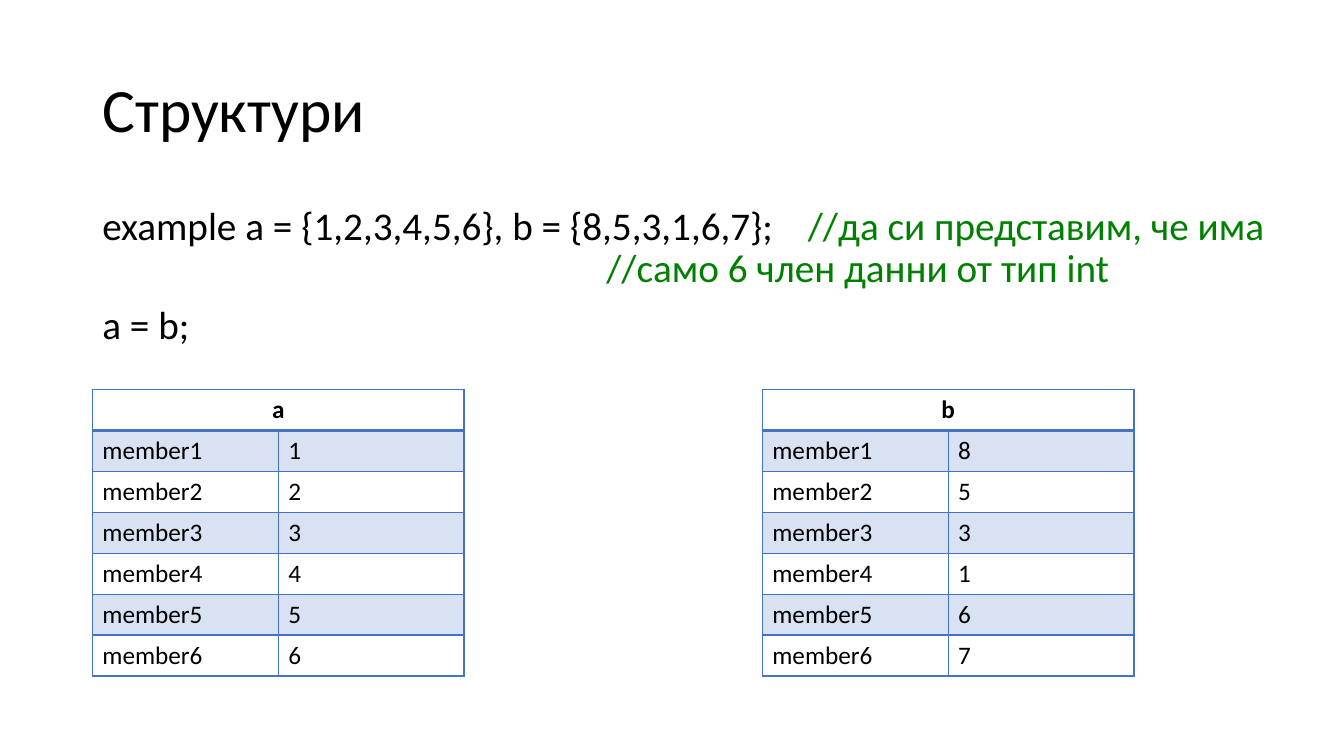
"""Builds the slide on assigning one structure to another."""
from lxml import etree
from pptx import Presentation, util as u
from pptx.dml.color import RGBColor
from pptx.enum import text
from pptx.oxml.ns import qn

COLORS = {"text": "000000", "comment": "008000", "accent": "4472C4"}
FONT = "Calibri"
MEMBERS_A = [1, 2, 3, 4, 5, 6]
MEMBERS_B = [8, 5, 3, 1, 6, 7]


def px(n):
    return u.Emu(n * 9525)


def add_run(p, words, size, color="text", bold=False):
    r = p.add_run()
    r.text = words
    r.font.name = FONT
    r.font.size = u.Pt(size)
    r.font.bold = bold
    r.font.color.rgb = RGBColor.from_string(COLORS[color])


def set_tabs(p, stops):
    tabs = etree.SubElement(p._p.get_or_add_pPr(), qn("a:tabLst"))
    for stop in stops:
        etree.SubElement(tabs, qn("a:tab"), pos=str(px(stop)), algn="l")


def add_title(s, words):
    sp = s.shapes.title
    sp.left, sp.top, sp.width, sp.height = px(88), px(38), px(1104), px(139)
    tf = sp.text_frame
    tf.vertical_anchor = text.MSO_ANCHOR.MIDDLE
    p = tf.paragraphs[0]
    p.alignment = text.PP_ALIGN.LEFT
    p.line_spacing = 0.9
    add_run(p, words, 44)


def add_code(s):
    sp = s.shapes.add_textbox(px(88), px(192), px(1175), px(457))
    tf = sp.text_frame
    tf.word_wrap = True
    p = tf.paragraphs[0]
    p.line_spacing = 0.9
    set_tabs(p, [480, 672])
    add_run(p, "example a = {1,2,3,4,5,6}, b = {8,5,3,1,6,7};\t", 28)
    add_run(p, "//да си представим, че има", 28, "comment")
    p.add_line_break()
    add_run(p, "\t//само 6 член данни от тип int", 28, "comment")
    p = tf.add_paragraph()
    p.line_spacing = 0.9
    p.space_before = u.Pt(10)
    add_run(p, "a = b;", 28)


def add_border(cell, side, width):
    ln = etree.SubElement(cell._tc.get_or_add_tcPr(), qn(f"a:ln{side}"), w=str(u.Pt(width)))
    fill = etree.SubElement(ln, qn("a:solidFill"))
    etree.SubElement(fill, qn("a:srgbClr"), val=COLORS["accent"])


def format_cell(cell, row):
    widths = {"L": 1, "R": 1, "T": 2 if row == 1 else 1, "B": 2 if row == 0 else 1}
    for side, width in widths.items():
        add_border(cell, side, width)
    if row % 2:
        cell.fill.solid()
        cell.fill.fore_color.rgb = RGBColor.from_string(COLORS["accent"])
        color = cell._tc.tcPr.find(qn("a:solidFill")).find(qn("a:srgbClr"))
        etree.SubElement(color, qn("a:alpha"), val="20000")
    else:
        cell.fill.background()


def add_members(s, left, name, values):
    rows = len(values) + 1
    table = s.shapes.add_table(rows, 2, px(left), px(371), px(354), px(39 * rows)).table
    table.first_row = table.horz_banding = False
    for row in range(rows):
        table.rows[row].height = px(39)
        for col in range(2):
            format_cell(table.cell(row, col), row)
    header = table.cell(0, 0)
    header.merge(table.cell(0, 1))
    p = header.text_frame.paragraphs[0]
    p.alignment = text.PP_ALIGN.CENTER
    add_run(p, name, 18, bold=True)
    for row, value in enumerate(values, 1):
        for col, words in enumerate([f"member{row}", str(value)]):
            add_run(table.cell(row, col).text_frame.paragraphs[0], words, 18)


def main():
    prs = Presentation()
    prs.slide_width, prs.slide_height = px(1280), px(720)
    s = prs.slides.add_slide(prs.slide_layouts[5])
    add_title(s, "Структури")
    add_code(s)
    add_members(s, 88, "а", MEMBERS_A)
    add_members(s, 726, "b", MEMBERS_B)
    prs.save("out.pptx")


if __name__ == "__main__":
    main()
